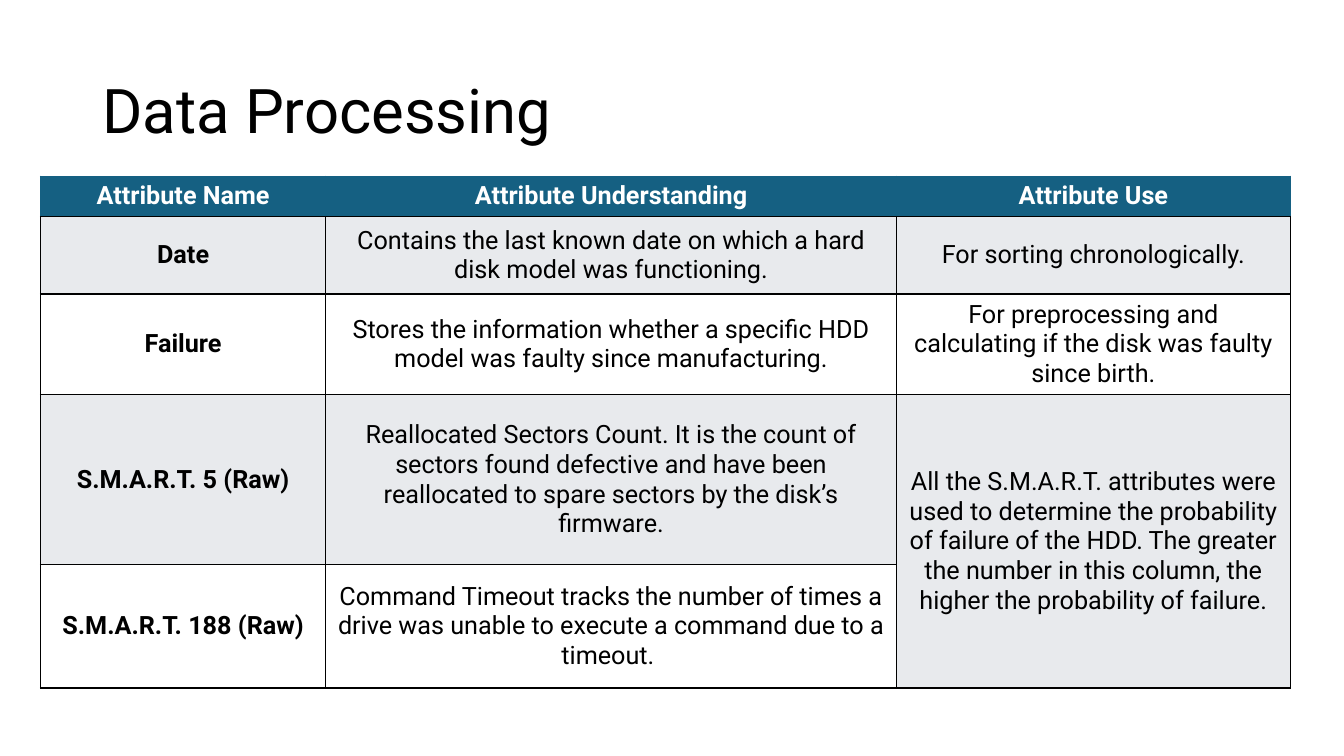
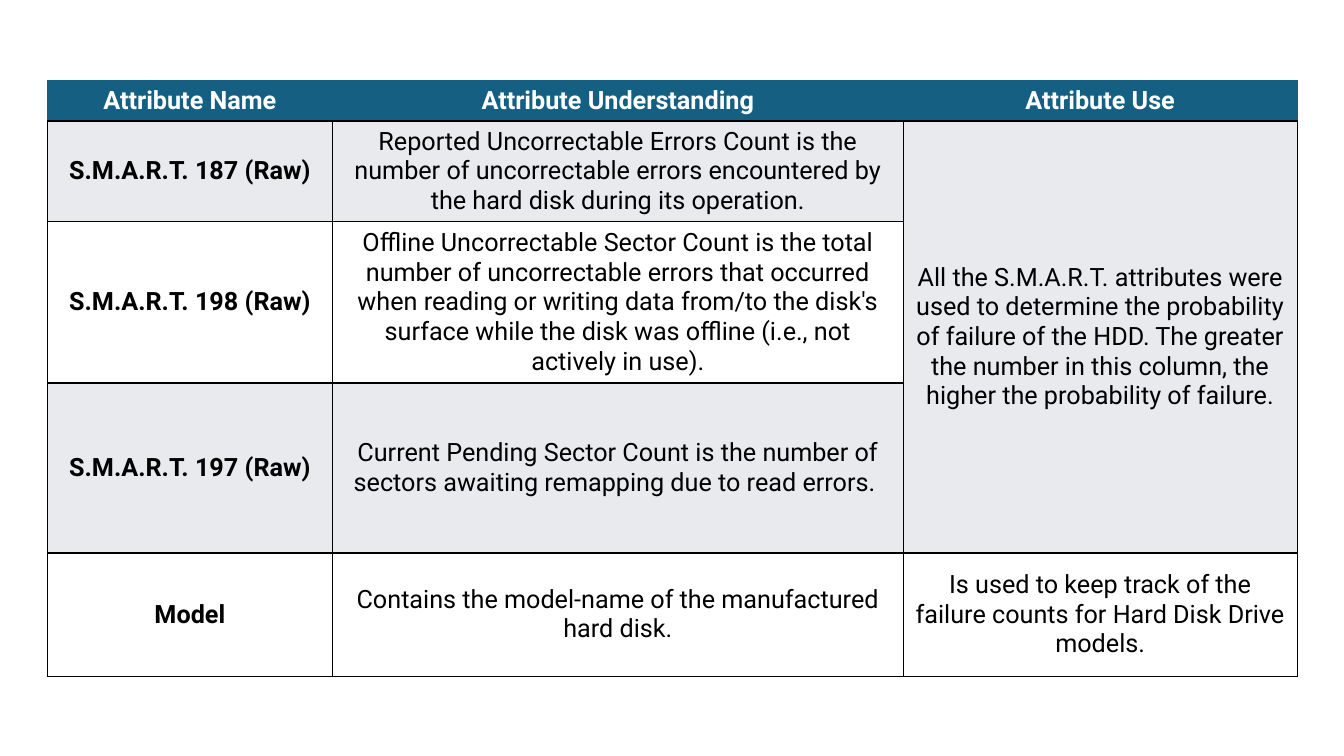
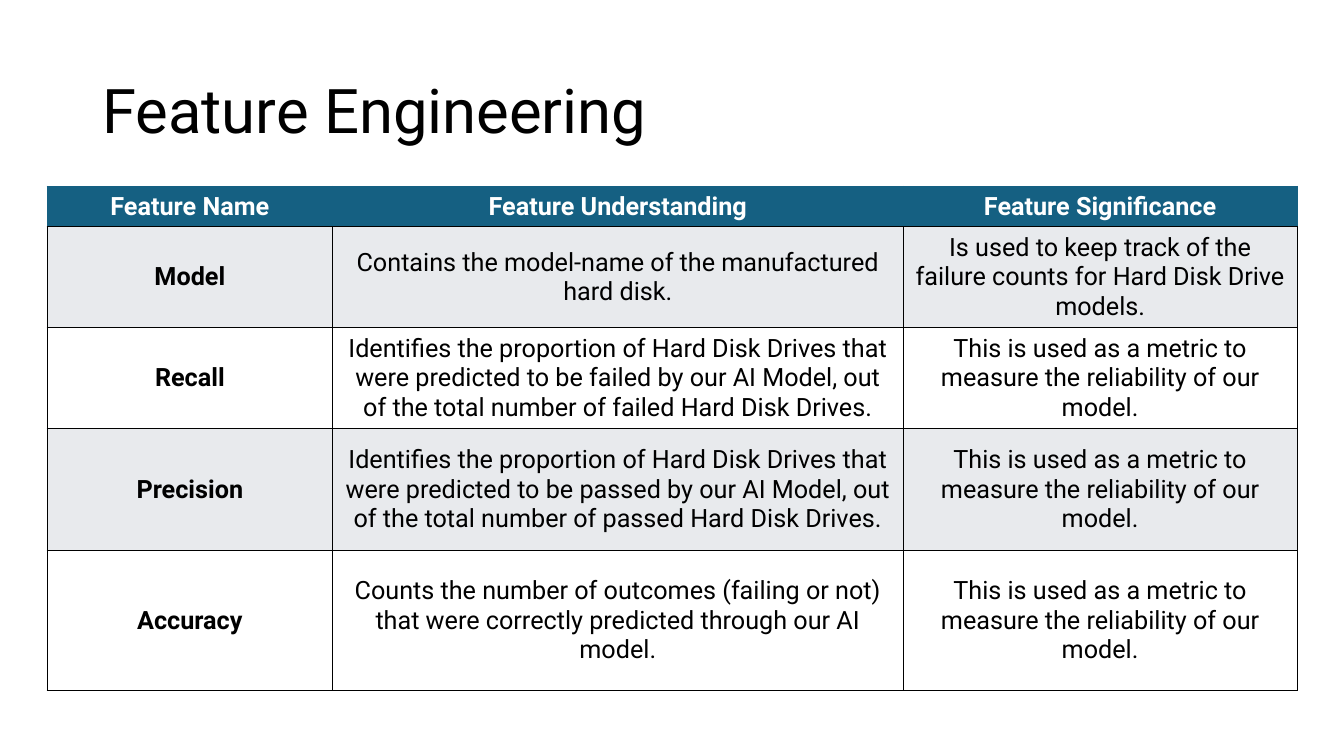
import pptx
import pptx.dml.color
import pptx.enum.text
import pptx.oxml
import pptx.oxml.ns
import pptx.util

Cm, Pt = pptx.util.Cm, pptx.util.Pt
PP_ALIGN = pptx.enum.text.PP_ALIGN
MIDDLE = pptx.enum.text.MSO_ANCHOR.MIDDLE

FONT = "Roboto"
BLACK, WHITE, HEADER, BAND = "000000", "FFFFFF", "156082", "E8EAED"
TITLE_BOX = (2.33, 1.01, 29.21, 3.69)
COLUMN_WIDTHS = (7.19, 14.38, 9.93)

ATTRIBUTE_HEADER = ("Attribute Name", "Attribute Understanding", "Attribute Use")
FEATURE_HEADER = ("Feature Name", "Feature Understanding", "Feature Significance")
SMART_USE = (
    "All the S.M.A.R.T. attributes were used to determine the probability of failure "
    "of the HDD. The greater the number in this column, the higher the probability of failure."
)
MODEL_ROW = (
    "Model",
    "Contains the model-name of the manufactured hard disk.",
    "Is used to keep track of the failure counts for Hard Disk Drive models.",
)
METRIC_USE = "This is used as a metric to measure the reliability of our model."

# A cell of None continues the cell above it.
SLIDES = [
    {
        "title": "Data Processing",
        "corner": (1.02, 4.44),
        "heights": (1.0, 1.95, 2.52, 4.28, 3.11),
        "rows": [
            ATTRIBUTE_HEADER,
            ("Date",
             "Contains the last known date on which a hard disk model was functioning.",
             "For sorting chronologically."),
            ("Failure",
             "Stores the information whether a specific HDD model was faulty since manufacturing.",
             "For preprocessing and calculating if the disk was faulty since birth."),
            ("S.M.A.R.T. 5 (Raw)",
             "Reallocated Sectors Count. It is the count of sectors found defective and have "
             "been reallocated to spare sectors by the disk’s firmware.",
             SMART_USE),
            ("S.M.A.R.T. 188 (Raw)",
             "Command Timeout tracks the number of times a drive was unable to execute "
             "a command due to a timeout. ",
             None),
        ],
    },
    {
        "title": None,
        "corner": (1.19, 2.03),
        "heights": (1.0, 2.48, 3.98, 4.28, 3.11),
        "rows": [
            ATTRIBUTE_HEADER,
            ("S.M.A.R.T. 187 (Raw)",
             "Reported Uncorrectable Errors Count is the number of uncorrectable errors "
             "encountered by the hard disk during its operation.",
             SMART_USE),
            ("S.M.A.R.T. 198 (Raw)",
             "Offline Uncorrectable Sector Count is the total number of uncorrectable errors "
             "that occurred when reading or writing data from/to the disk's surface while "
             "the disk was offline (i.e., not actively in use).",
             None),
            ("S.M.A.R.T. 197 (Raw)",
             "Current Pending Sector Count is the number of sectors awaiting remapping "
             "due to read errors. ",
             None),
            MODEL_ROW,
        ],
    },
    {
        "title": "Feature Engineering",
        "corner": (1.19, 4.7),
        "heights": (1.0, 2.48, 2.49, 3.07, 3.53),
        "rows": [
            FEATURE_HEADER,
            MODEL_ROW,
            ("Recall",
             "Identifies the proportion of Hard Disk Drives that were predicted to be failed "
             "by our AI Model, out of the total number of failed Hard Disk Drives.",
             METRIC_USE),
            ("Precision",
             "Identifies the proportion of Hard Disk Drives that were predicted to be passed "
             "by our AI Model, out of the total number of passed Hard Disk Drives.",
             METRIC_USE),
            ("Accuracy",
             "Counts the number of outcomes (failing or not) that were correctly predicted "
             "through our AI model.",
             METRIC_USE),
        ],
    },
]


def rgb(color):
    return pptx.dml.color.RGBColor.from_string(color)


def add_run(p, text, size, color, bold=False):
    r = p.add_run()
    r.text = text
    r.font.name, r.font.size, r.font.bold = FONT, Pt(size), bold
    r.font.color.rgb = rgb(color)


def add_title(s, text):
    tf = s.shapes.add_textbox(*map(Cm, TITLE_BOX)).text_frame
    tf.word_wrap = True
    tf.vertical_anchor = MIDDLE
    p = tf.paragraphs[0]
    p.line_spacing = 0.9
    add_run(p, text, 44, BLACK)


def set_borders(cell, **colors):
    """Draw 1 pt cell borders; the keys are L, R, T and B, in that order."""
    tc_pr = cell._tc.get_or_add_tcPr()
    for i, (side, color) in enumerate(colors.items()):
        tc_pr.insert(i, pptx.oxml.parse_xml(
            f'<a:ln{side} {pptx.oxml.ns.nsdecls("a")} w="12700"><a:solidFill>'
            f'<a:srgbClr val="{color}"/></a:solidFill></a:ln{side}>'))


def style_cell(cell, row):
    is_header = row == 0
    edge = HEADER if is_header else BLACK
    cell.fill.solid()
    cell.fill.fore_color.rgb = rgb(HEADER if is_header else BAND if row % 2 else WHITE)
    cell.vertical_anchor = MIDDLE
    set_borders(cell, L=edge, R=edge, T=edge, B=BLACK)


def add_banded_table(s, corner, heights, rows):
    size = sum(COLUMN_WIDTHS), sum(heights)
    table = s.shapes.add_table(len(rows), len(COLUMN_WIDTHS), *map(Cm, corner + size)).table
    for column, width in zip(table.columns, COLUMN_WIDTHS):
        column.width = Cm(width)
    for i, (height, texts) in enumerate(zip(heights, rows)):
        table.rows[i].height = Cm(height)
        for j, text in enumerate(texts):
            cell = table.cell(i, j)
            style_cell(cell, i)
            if text is not None:
                p = cell.text_frame.paragraphs[0]
                p.alignment = PP_ALIGN.CENTER
                add_run(p, text, 18, BLACK if i else WHITE, bold=i == 0 or j == 0)
    merge_continued(table, rows)


def merge_continued(table, rows):
    """Merge each cell that has text with the None cells right below it."""
    for j in range(len(COLUMN_WIDTHS)):
        column = [row[j] for row in rows]
        starts = [i for i, text in enumerate(column) if text is not None]
        for start, end in zip(starts, starts[1:] + [len(column)]):
            if end - start > 1:
                table.cell(start, j).merge(table.cell(end - 1, j))


def main():
    prs = pptx.Presentation()
    prs.slide_width, prs.slide_height = Cm(33.87), Cm(19.05)
    for content in SLIDES:
        s = prs.slides.add_slide(prs.slide_layouts[6])
        if content["title"]:
            add_title(s, content["title"])
        add_banded_table(s, content["corner"], content["heights"], content["rows"])
    prs.save("out.pptx")


if __name__ == "__main__":
    main()
